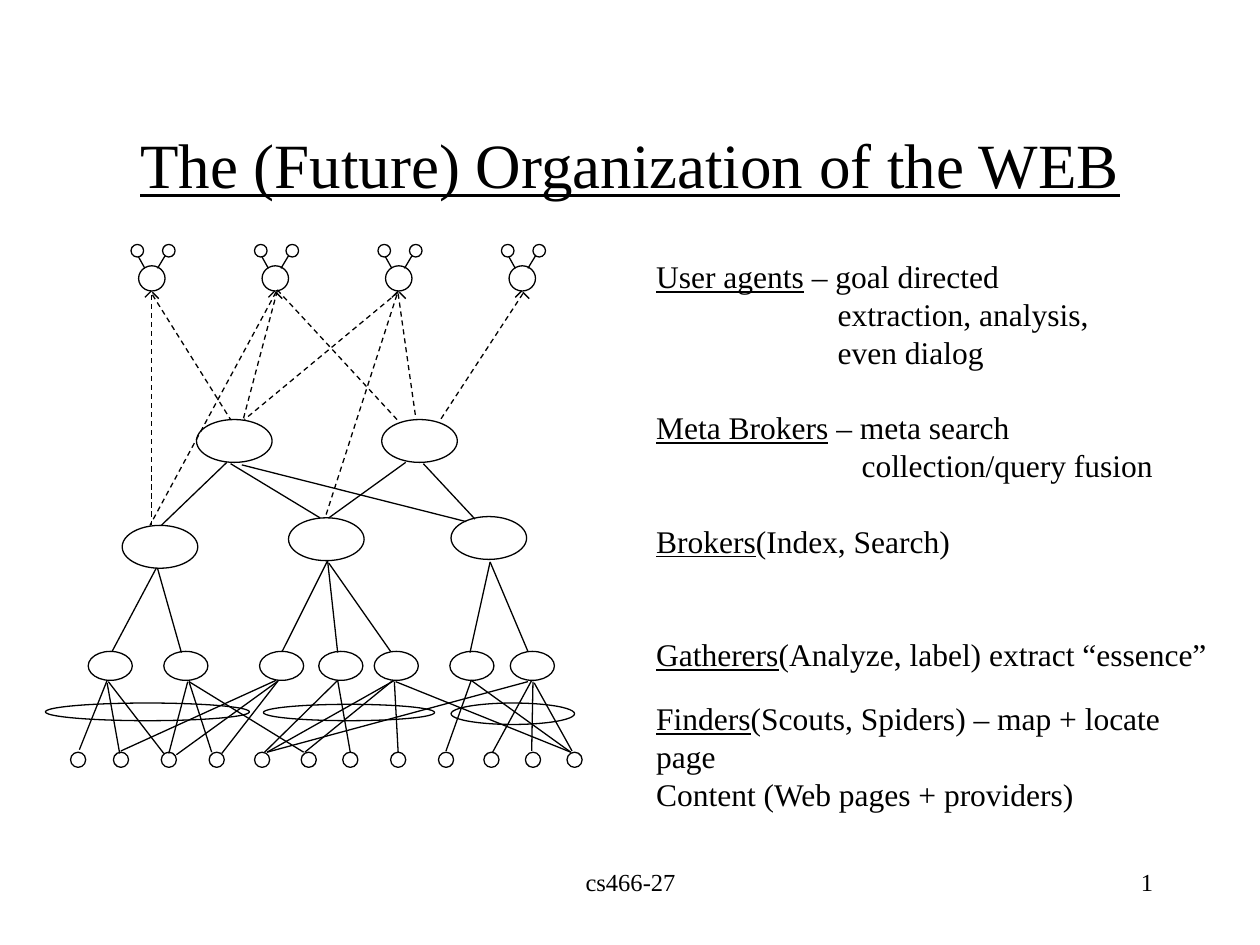
from lxml import etree
from pptx import Presentation
from pptx.dml.color import RGBColor
from pptx.enum.dml import MSO_LINE
from pptx.enum.shapes import MSO_CONNECTOR, MSO_SHAPE
from pptx.enum.text import MSO_ANCHOR, MSO_AUTO_SIZE, PP_ALIGN
from pptx.oxml.ns import qn
from pptx.util import Inches, Pt

OVAL = MSO_SHAPE.OVAL
STRAIGHT = MSO_CONNECTOR.STRAIGHT
DASH = MSO_LINE.DASH
LEFT, CENTER, RIGHT = PP_ALIGN.LEFT, PP_ALIGN.CENTER, PP_ALIGN.RIGHT
TOP, MIDDLE = MSO_ANCHOR.TOP, MSO_ANCHOR.MIDDLE

COLORS = {"ink": "000000"}
FONT = "Times New Roman"
LINE_PT = 21.6

# Agent parts, relative to the left edge of the agent's head
AGENT_OVALS = [(0, 2.11, 0.21, 0.2), (-0.06, 1.94, 0.1, 0.1), (0.19, 1.94, 0.1, 0.1)]
AGENT_LINES = [(0.21, 2.03, 0.15, 2.13), (0, 2.04, 0.05, 2.13),
               (0.1, 2.31, 0.05, 2.36), (0.11, 2.32, 0.16, 2.37)]
AGENT_COUNT, AGENT_LEFT, AGENT_STEP = 4, 1.1, 0.98

BROKER_SIZE = (0.6, 0.34)
META_BROKERS = [(1.56, 3.33), (3.03, 3.33)]
BROKERS = [(0.97, 4.17), (2.29, 4.11), (3.58, 4.1)]
GATHERER_SIZE = (0.35, 0.23)
GATHERERS = [(left, 5.17) for left in (0.7, 1.3, 2.06, 2.53, 2.97, 3.57, 4.05)]
CONTENT_SIZE = (0.12, 0.12)
CONTENT = [(left, 5.97) for left in
           (0.56, 0.9, 1.28, 1.66, 2.02, 2.39, 2.72, 3.1, 3.48, 3.84, 4.17, 4.5)]
FINDERS = [(0.36, 5.58, 1.62, 0.14), (2.09, 5.59, 1.36, 0.13), (3.58, 5.58, 0.98, 0.17)]

GATHERER_TO_CONTENT = [
    (0.85, 5.4, 0.63, 5.95), (0.85, 5.42, 0.95, 5.98), (0.86, 5.41, 1.3, 5.98),
    (1.49, 5.41, 1.34, 5.98), (1.5, 5.41, 1.68, 5.97), (1.5, 5.41, 2.41, 5.97),
    (2.19, 5.4, 0.96, 5.96), (2.2, 5.41, 1.4, 5.99), (2.21, 5.4, 1.76, 5.98),
    (2.68, 5.4, 2.1, 5.97), (2.68, 5.4, 2.78, 5.97),
    (3.13, 5.4, 2.12, 5.97), (3.12, 5.4, 2.42, 5.97), (3.13, 5.41, 3.16, 5.97),
    (3.14, 5.41, 4.53, 5.97), (3.74, 5.4, 3.54, 5.96), (3.74, 5.4, 4.53, 5.97),
    (4.19, 5.41, 2.12, 5.97), (4.22, 5.4, 3.91, 5.97), (4.23, 5.41, 4.22, 5.96),
    (4.24, 5.42, 4.54, 5.96),
]
BROKER_TO_GATHERER = [
    (1.24, 4.51, 0.89, 5.17), (1.25, 4.51, 1.44, 5.18), (2.6, 4.45, 2.24, 5.17),
    (2.6, 4.45, 2.68, 5.18), (2.61, 4.47, 3.1, 5.17), (3.89, 4.46, 3.73, 5.18),
    (3.89, 4.46, 4.19, 5.17),
]
META_TO_BROKER = [
    (1.8, 3.67, 1.28, 4.17), (1.83, 3.68, 2.54, 4.11), (1.92, 3.69, 3.7, 4.14),
    (3.22, 3.67, 2.61, 4.11), (3.36, 3.68, 3.77, 4.12),
]
AGENT_TO_BROKER = [
    (1.2, 2.34, 1.2, 4.17), (1.21, 2.34, 1.83, 3.33), (2.19, 2.32, 1.19, 4.17),
    (2.2, 2.31, 1.93, 3.33), (2.2, 2.3, 3.17, 3.35), (3.16, 2.32, 1.94, 3.33),
    (3.16, 2.33, 3.3, 3.32), (3.15, 2.34, 2.58, 4.11), (4.15, 2.33, 3.49, 3.34),
]

# Underlined term, plain text, indent in inches, blank lines before
LEGEND = [
    ("User agents", " – goal directed", 0, 0),
    ("", "extraction, analysis,", 1.44, 0),
    ("", "even dialog", 1.44, 0),
    ("Meta Brokers", " – meta search", 0, 1),
    ("", "collection/query fusion", 1.63, 0),
    ("Brokers", "(Index, Search)", 0, 1),
    ("Gatherers", "(Analyze, label) extract “essence”", 0, 2),
    ("Finders", "(Scouts, Spiders) – map + locate page", 0, 0.7),
    ("", "Content (Web pages + providers)", 0, 0),
]


def ink():
    return RGBColor.from_string(COLORS["ink"])


def set_line(shape):
    shape.line.color.rgb = ink()
    shape.line.width = Pt(0.75)


def add_oval(shapes, left, top, width, height):
    oval = shapes.add_shape(OVAL, Inches(left), Inches(top), Inches(width), Inches(height))
    oval.shadow.inherit = False
    oval.fill.background()
    set_line(oval)


def add_line(shapes, x1, y1, x2, y2, dash=None):
    line = shapes.add_connector(STRAIGHT, Inches(x1), Inches(y1), Inches(x2), Inches(y2))
    set_line(line)
    if dash is not None:
        line.line.dash_style = dash
    etree.SubElement(line._element.spPr, qn("a:effectLst"))


def add_agent(page, left):
    """Draw a head with two antennae and an arrow tip below it."""
    shapes = page.shapes.add_group_shape().shapes
    for x, top, width, height in AGENT_OVALS:
        add_oval(shapes, left + x, top, width, height)
    for x1, y1, x2, y2 in AGENT_LINES:
        add_line(shapes, left + x1, y1, left + x2, y2)


def add_box(page, left, top, width, height, anchor=TOP, wrap=True):
    box = page.shapes.add_textbox(Inches(left), Inches(top), Inches(width), Inches(height))
    frame = box.text_frame
    formats = {"word_wrap": wrap, "vertical_anchor": anchor, "auto_size": MSO_AUTO_SIZE.NONE}
    for name, value in formats.items():
        setattr(frame, name, value)
    return frame


def add_span(para, text, size, underline=False):
    span = para.add_run()
    span.text = text
    formats = {"name": FONT, "size": Pt(size), "underline": underline}
    for name, value in formats.items():
        setattr(span.font, name, value)
    span.font.color.rgb = ink()


def add_label(page, place, text, size, align, anchor=TOP, underline=False):
    para = add_box(page, *place, anchor=anchor).paragraphs[0]
    para.alignment = align
    add_span(para, text, size, underline)


def add_legend(page):
    frame = add_box(page, 5.11, 1.99, 4.73, 4.21, wrap=False)
    frame.auto_size = MSO_AUTO_SIZE.SHAPE_TO_FIT_TEXT
    for index, (term, text, indent, gap) in enumerate(LEGEND):
        para = frame.add_paragraph() if index else frame.paragraphs[0]
        formats = {"alignment": LEFT, "line_spacing": Pt(LINE_PT),
                   "space_before": Pt(gap * LINE_PT)}
        for name, value in formats.items():
            setattr(para, name, value)
        if indent:
            para._p.get_or_add_pPr().set("marL", str(Inches(indent)))
        if term:
            add_span(para, term, 18, underline=True)
        add_span(para, text, 18)


def add_network(page):
    for index in range(AGENT_COUNT):
        add_agent(page, AGENT_LEFT + index * AGENT_STEP)
    levels = [(META_BROKERS + BROKERS, BROKER_SIZE), (GATHERERS, GATHERER_SIZE),
              (CONTENT, CONTENT_SIZE)]
    for corners, size in levels:
        for corner in corners:
            add_oval(page.shapes, *corner, *size)
    for finder in FINDERS:
        add_oval(page.shapes, *finder)
    for ends in GATHERER_TO_CONTENT + BROKER_TO_GATHERER + META_TO_BROKER:
        add_line(page.shapes, *ends)
    for ends in AGENT_TO_BROKER:
        add_line(page.shapes, *ends, dash=DASH)


def main():
    deck = Presentation()
    deck.slide_width, deck.slide_height = Inches(10), Inches(7.5)
    page = deck.slides.add_slide(deck.slide_layouts[6])
    add_label(page, (0.75, 0.67, 8.5, 1.25), "The (Future) Organization of the WEB",
              36, CENTER, MIDDLE, underline=True)
    add_network(page)
    add_legend(page)
    add_label(page, (3.42, 6.83, 3.17, 0.5), "cs466-27", 14, CENTER)
    add_label(page, (7.17, 6.83, 2.08, 0.5), "1", 14, RIGHT)
    deck.save("out.pptx")


if __name__ == "__main__":
    main()
